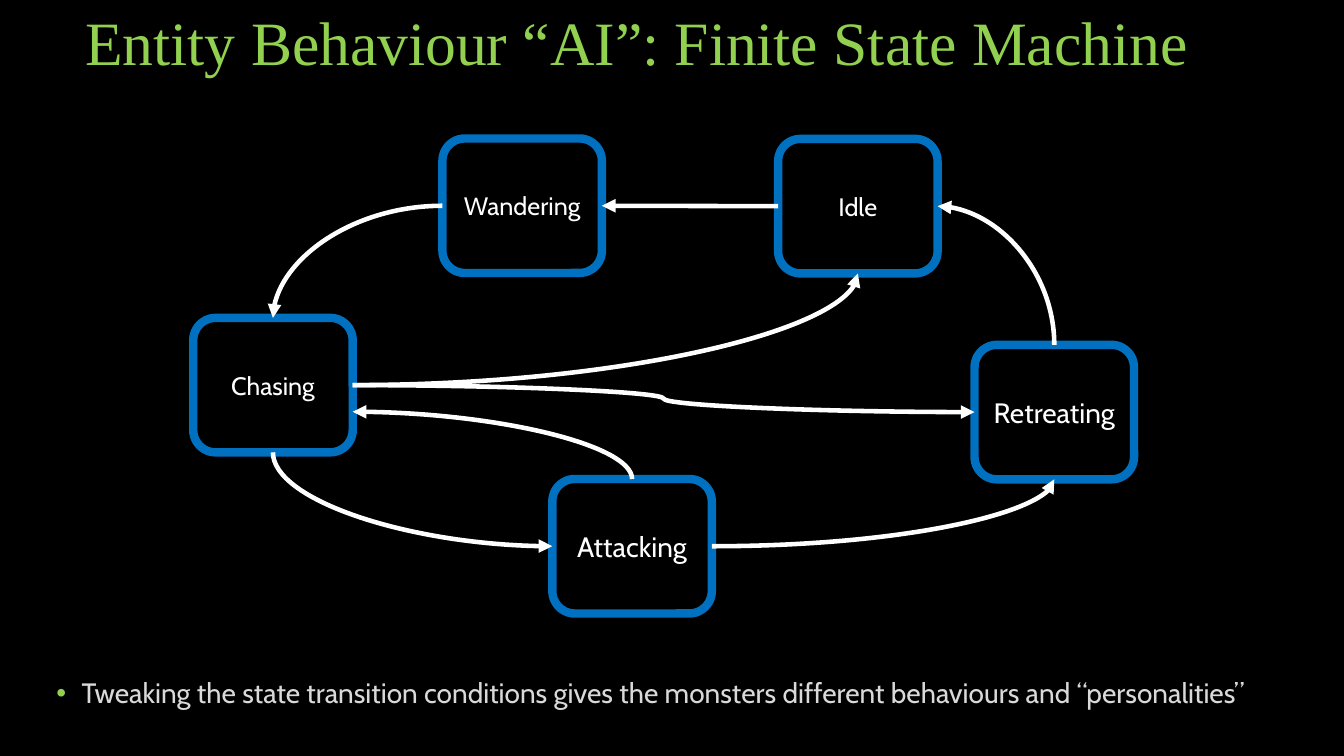
import lxml.etree
import pptx
import pptx.dml.color
import pptx.enum.shapes
import pptx.enum.text
import pptx.oxml.ns
import pptx.util

Cm = pptx.util.Cm
Pt = pptx.util.Pt
qn = pptx.oxml.ns.qn
CONNECTOR = pptx.enum.shapes.MSO_CONNECTOR
ANCHOR = pptx.enum.text.MSO_ANCHOR

COLOURS = {
    "background": "000000",
    "title": "92D050",
    "state_border": "0070C0",
    "state_text": "FFFFFF",
    "arrow": "FFFFFF",
    "bullet": "92D050",
    "remark": "D9D9D9",
}
STATE_WIDTH, STATE_HEIGHT = Cm(4.02), Cm(3.39)
TOP, LEFT, BOTTOM, RIGHT = range(4)

# name: left and top in cm, text size in points
STATES = {
    "Attacking": (13.92, 12.07, 20),
    "Retreating": (24.56, 8.69, 20),
    "Idle": (19.61, 3.5, 18),
    "Chasing": (4.87, 8.01, 18),
    "Wandering": (11.15, 3.49, 18),
}

# Each bend leaves its first state sideways and meets its second vertically;
# the last entry says which of the two carries the arrowhead.
BENDS = [
    ("Wandering", LEFT, "Chasing", TOP, "second"),
    ("Attacking", LEFT, "Chasing", BOTTOM, "first"),
    ("Attacking", RIGHT, "Retreating", BOTTOM, "second"),
    ("Chasing", RIGHT, "Idle", BOTTOM, "second"),
    ("Idle", RIGHT, "Retreating", TOP, "first"),
]


def rgb(name):
    return pptx.dml.color.RGBColor.from_string(COLOURS[name])


def format_text(paragraph, font_name, size, colour):
    for run in paragraph.runs:
        run.font.name = font_name
        run.font.size = Pt(size)
        run.font.color.rgb = rgb(colour)


def add_text(slide, text, box, anchor, font_name, size, colour):
    frame = slide.shapes.add_textbox(*map(Cm, box)).text_frame
    frame.word_wrap = True
    frame.vertical_anchor = anchor
    frame.text = text
    paragraph = frame.paragraphs[0]
    paragraph.line_spacing = 0.9
    format_text(paragraph, font_name, size, colour)
    return paragraph


def add_bullet(paragraph):
    properties = paragraph._p.get_or_add_pPr()
    properties.set("marL", str(Cm(0.64)))
    properties.set("indent", str(-Cm(0.64)))
    bullet_colour = lxml.etree.SubElement(properties, qn("a:buClr"))
    lxml.etree.SubElement(bullet_colour, qn("a:srgbClr"), val=COLOURS["bullet"])
    lxml.etree.SubElement(properties, qn("a:buFont"), typeface="Arial")
    lxml.etree.SubElement(properties, qn("a:buChar"), char="•")


def add_state(slide, name, left, top, size):
    state = slide.shapes.add_shape(
        pptx.enum.shapes.MSO_SHAPE.ROUNDED_RECTANGLE,
        Cm(left), Cm(top), STATE_WIDTH, STATE_HEIGHT)
    state.shadow.inherit = False
    state.fill.solid()
    state.fill.fore_color.rgb = rgb("background")
    state.line.color.rgb = rgb("state_border")
    state.line.width = Pt(6)
    frame = state.text_frame
    frame.word_wrap = True
    frame.vertical_anchor = ANCHOR.MIDDLE
    frame.text = name
    frame.paragraphs[0].alignment = pptx.enum.text.PP_ALIGN.CENTER
    format_text(frame.paragraphs[0], "Cabin", size, "state_text")
    return state


def side_middle(state, side):
    across = {LEFT: 0, RIGHT: 1}.get(side, 0.5)
    down = {TOP: 0, BOTTOM: 1}.get(side, 0.5)
    return (int(state.left + across * state.width),
            int(state.top + down * state.height))


def add_transition(slide, start, end, kind=CONNECTOR.CURVE, arrow_at="second"):
    transition = slide.shapes.add_connector(kind, *start, *end)
    transition.line.color.rgb = rgb("arrow")
    transition.line.width = Pt(3.25)
    arrow_tag = "a:headEnd" if arrow_at == "first" else "a:tailEnd"
    lxml.etree.SubElement(transition.line._get_or_add_ln(), qn(arrow_tag),
                          type="triangle")
    lxml.etree.SubElement(transition._element.spPr, qn("a:effectLst"))
    return transition


def add_bend(slide, start, end, arrow_at):
    """Add a quarter curve that starts horizontally and ends vertically."""
    bend = add_transition(slide, start, end, arrow_at=arrow_at)
    bend._element.spPr.find(qn("a:prstGeom")).set("prst", "curvedConnector2")


def main():
    presentation = pptx.Presentation()
    presentation.slide_width = Cm(33.87)
    presentation.slide_height = Cm(19.05)
    slide = presentation.slides.add_slide(presentation.slide_layouts[6])
    slide.background.fill.solid()
    slide.background.fill.fore_color.rgb = rgb("background")

    add_text(slide, "Entity Behaviour “AI”: Finite State Machine",
             (1.9, -1.07, 30.91, 3.18), ANCHOR.BOTTOM,
             "Times New Roman", 44, "title")
    states = {name: add_state(slide, name, *place)
              for name, place in STATES.items()}
    remark = add_text(
        slide,
        "Tweaking the state transition conditions gives the monsters "
        "different behaviours and “personalities”",
        (1.17, 16.99, 31.09, 1.63), ANCHOR.TOP, "Cabin", 20, "remark")
    add_bullet(remark)

    for first, first_side, second, second_side, arrow_at in BENDS:
        add_bend(slide, side_middle(states[first], first_side),
                 side_middle(states[second], second_side), arrow_at)

    # The way back from Attacking enters Chasing below the middle of its side.
    chasing_x, chasing_y = side_middle(states["Chasing"], RIGHT)
    add_bend(slide, (chasing_x, chasing_y + Cm(0.67)),
             side_middle(states["Attacking"], TOP), "first")

    add_transition(slide, (chasing_x, chasing_y),
                   side_middle(states["Retreating"], LEFT))

    settle = add_transition(slide, side_middle(states["Idle"], LEFT),
                            side_middle(states["Wandering"], RIGHT),
                            CONNECTOR.STRAIGHT)
    settle.begin_connect(states["Idle"], LEFT)
    settle.end_connect(states["Wandering"], RIGHT)

    presentation.save("out.pptx")


if __name__ == "__main__":
    main()
